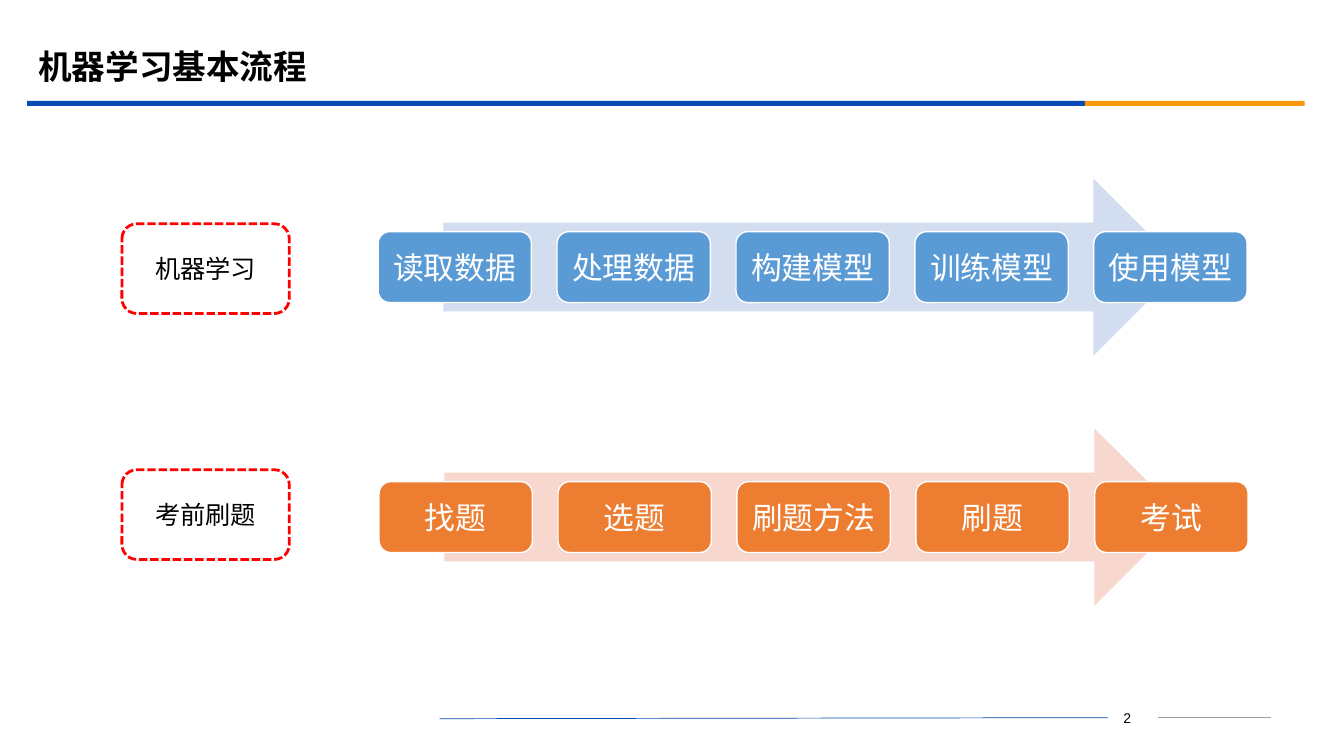
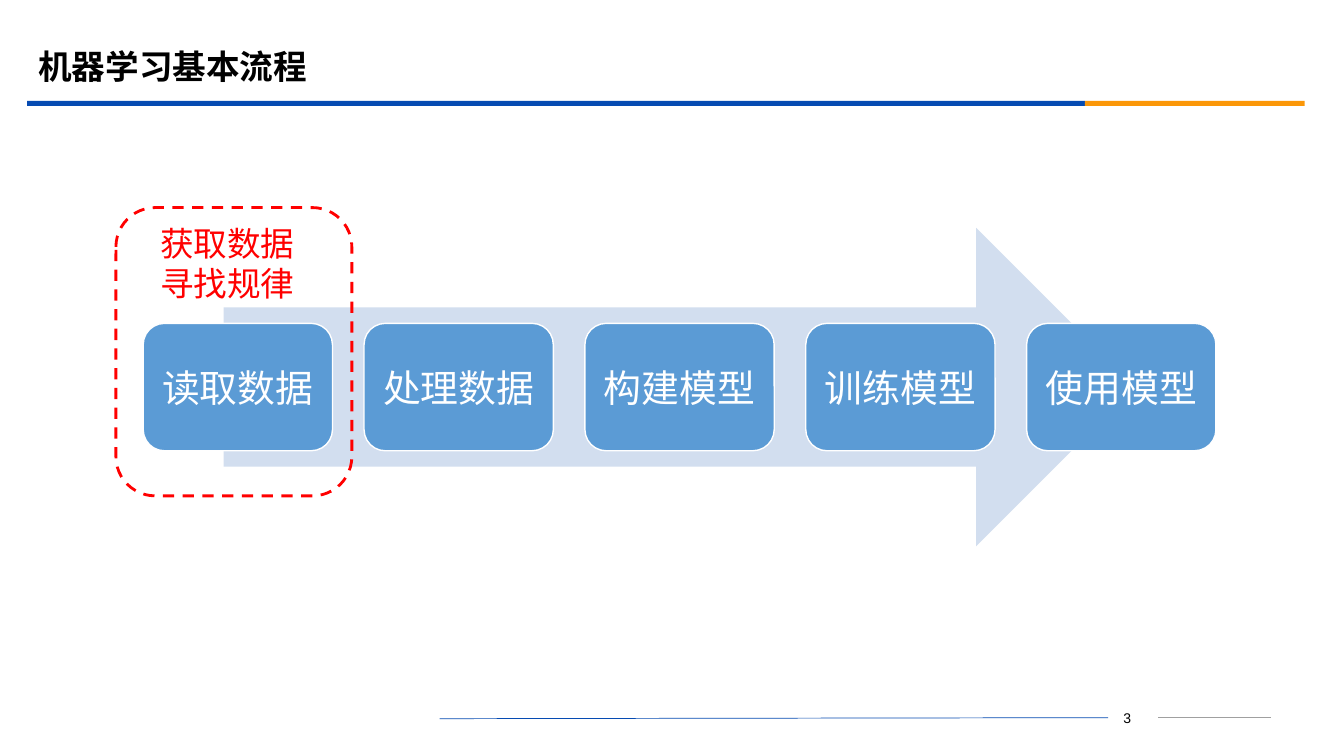
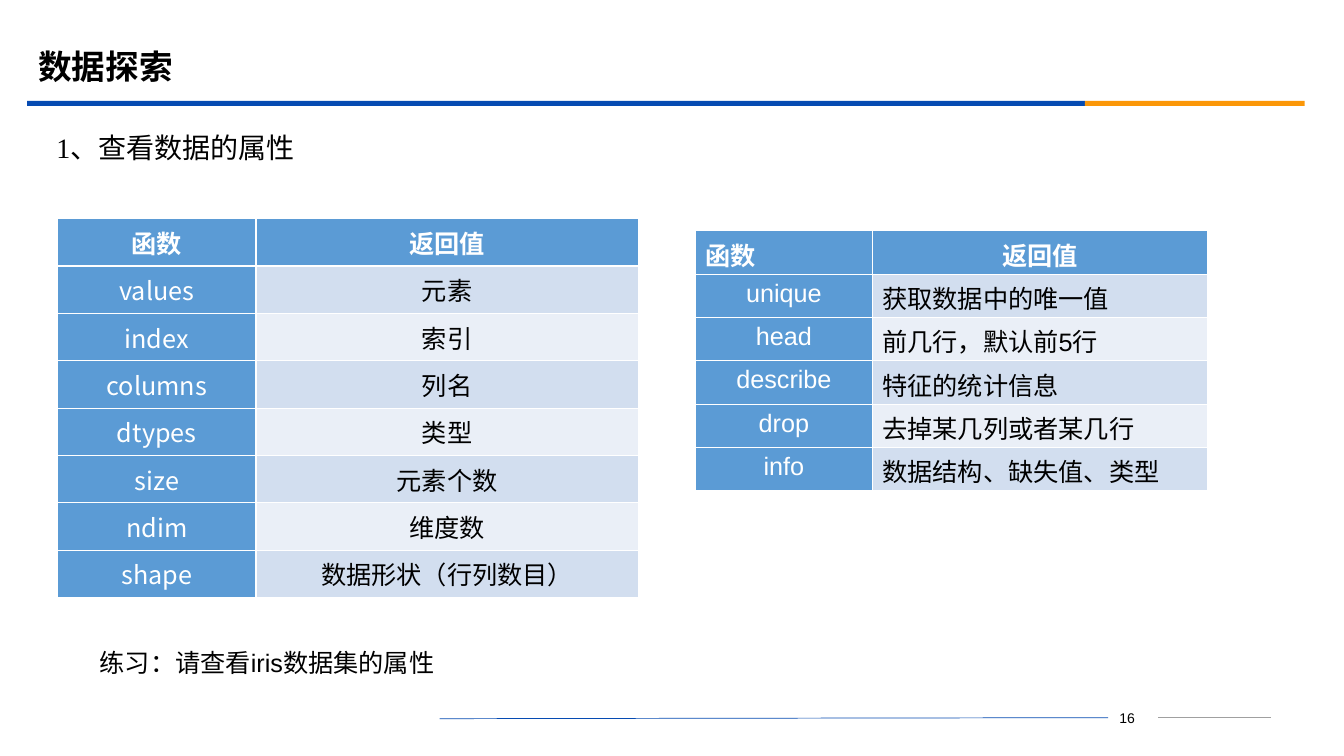
from lxml.etree import SubElement
from pptx import Presentation
from pptx.dml.color import RGBColor
from pptx.enum.dml import MSO_LINE
from pptx.enum.shapes import MSO_CONNECTOR, MSO_SHAPE
from pptx.enum.text import MSO_ANCHOR, MSO_AUTO_SIZE, PP_ALIGN
from pptx.oxml.ns import qn
from pptx.util import Inches, Pt

COLORS = {
    "text": "000000",
    "white": "FFFFFF",
    "band": "064BB2",
    "accent": "FB9708",
    "footer": "A0A0A0",
    "blue": "5B9BD5",
    "blue_pale": "D2DEEF",
    "blue_faint": "EAEFF7",
    "orange": "ED7D31",
    "orange_pale": "F8D7CE",
    "red": "FF0000",
}
TITLE_ONLY, TITLE_AND_BODY = 5, 1
LEFT, CENTER = PP_ALIGN.LEFT, PP_ALIGN.CENTER


def rgb(name):
    return RGBColor.from_string(COLORS[name])


def box(*lengths):
    return [Inches(length) for length in lengths]


class Deck:
    def __init__(self):
        self.prs = Presentation()
        self.prs.slide_width, self.prs.slide_height = box(13.33, 7.5)
        self.slide = None

    def new_slide(self, title, number, layout=TITLE_ONLY):
        self.slide = self.prs.slides.add_slide(self.prs.slide_layouts[layout])
        self.placeholder(0, title, (0.28, 0.39, 12, 0.58), 24, "Montserrat", bold=True)
        self.shape(MSO_SHAPE.RECTANGLE, (0.27, 1, 10.49, 0.05), "band")
        self.shape(MSO_SHAPE.RECTANGLE, (10.76, 1, 2.18, 0.05), "accent")
        self.line((4.36, 7.13), (10.99, 7.12), "band", 0.5)
        self.line((11.49, 7.12), (12.61, 7.12), "footer", 0.75)
        self.text(str(number), (10.87, 6.99, 0.62, 0.25), 10, align=CENTER)

    def set_text(self, frame, text, size, color="text", font="Arial", align=LEFT, bold=False):
        frame.text = text
        paragraph = frame.paragraphs[0]
        paragraph.alignment = align
        paragraph.font.name = font
        paragraph.font.size = Pt(size)
        paragraph.font.bold = bold
        paragraph.font.color.rgb = rgb(color)
        return paragraph

    def placeholder(self, index, text, area, size, font, bold=False):
        holder = self.slide.placeholders[index]
        holder.left, holder.top, holder.width, holder.height = box(*area)
        frame = holder.text_frame
        frame.auto_size = MSO_AUTO_SIZE.NONE
        frame.vertical_anchor = MSO_ANCHOR.MIDDLE
        paragraph = self.set_text(frame, text, size, font=font, bold=bold)
        paragraph.line_spacing = 0.9
        return paragraph

    def body(self, text, area):
        """Fill the body placeholder with one unbulleted line."""
        paragraph = self.placeholder(1, text, area, 20, "Times New Roman")
        paragraph.space_before = Pt(10)
        properties = paragraph._p.get_or_add_pPr()
        properties.set("marL", "0")
        properties.set("indent", "0")
        bullet = properties.makeelement(qn("a:buNone"), {})
        properties.insert_element_before(bullet, "a:tabLst", "a:defRPr", "a:extLst")

    def text(self, text, area, size, color="text", align=LEFT):
        frame = self.slide.shapes.add_textbox(*box(*area)).text_frame
        frame.word_wrap = True
        self.set_text(frame, text, size, color, align=align)

    def shape(self, kind, area, fill=None, line=None, width=1, dash=None):
        shape = self.slide.shapes.add_shape(kind, *box(*area))
        shape.shadow.inherit = False
        if fill:
            shape.fill.solid()
            shape.fill.fore_color.rgb = rgb(fill)
        else:
            shape.fill.background()
        if line:
            shape.line.color.rgb = rgb(line)
            shape.line.width = Pt(width)
            shape.line.dash_style = dash
        else:
            shape.line.fill.background()
        return shape

    def line(self, start, end, color, width):
        line = self.slide.shapes.add_connector(MSO_CONNECTOR.STRAIGHT, *box(*start, *end))
        line.line.color.rgb = rgb(color)
        line.line.width = Pt(width)
        SubElement(line._element.spPr, qn("a:effectLst"))

    def dashed_frame(self, area, dash, label=""):
        frame = self.shape(MSO_SHAPE.ROUNDED_RECTANGLE, area, line="red", width=2, dash=dash)
        if label:
            self.set_text(frame.text_frame, label, 18, align=CENTER)

    def process(self, steps, left, middle, width, arrow_height, size, color):
        """Draw equal step boxes, a sixth of a box apart, over a wide arrow."""
        self.shape(MSO_SHAPE.RIGHT_ARROW,
                   (left + 0.075 * width, middle - arrow_height / 2, 0.85 * width, arrow_height),
                   color + "_pale")
        step_width = width / (len(steps) + (len(steps) - 1) / 6)
        step_height = 0.4 * arrow_height
        for i, step in enumerate(steps):
            area = (left + i * step_width * 7 / 6, middle - step_height / 2, step_width, step_height)
            card = self.shape(MSO_SHAPE.ROUNDED_RECTANGLE, area, color, "white")
            frame = card.text_frame
            frame.margin_left = frame.margin_right = Inches(0.05)
            self.set_text(frame, step, size, "white", align=CENTER)

    def table(self, rows, left, top, columns, row_height, font, header_aligns, value_align, anchor):
        area = box(left, top, sum(columns), row_height * len(rows))
        table = self.slide.shapes.add_table(len(rows), len(columns), *area).table
        for column, width in zip(table.columns, columns):
            column.width = Inches(width)
        for r, row in enumerate(rows):
            aligns = (CENTER, value_align) if r else header_aligns
            for c, value in enumerate(row):
                cell = table.cell(r, c)
                is_value = r > 0 and c > 0
                band = "blue_pale" if r % 2 else "blue_faint"
                cell.fill.solid()
                cell.fill.fore_color.rgb = rgb(band if is_value else "blue")
                cell.vertical_anchor = anchor
                self.set_text(cell.text_frame, value, 18, "text" if is_value else "white",
                              font, aligns[c], bold=r == 0)


ML_STEPS = ["读取数据", "处理数据", "构建模型", "训练模型", "使用模型"]
EXAM_STEPS = ["找题", "选题", "刷题方法", "刷题", "考试"]
HEADER = ("函数", "返回值")
ATTRIBUTES = [
    HEADER,
    ("values", "元素"),
    ("index", "索引"),
    ("columns", "列名"),
    ("dtypes", "类型"),
    ("size", "元素个数"),
    ("ndim", "维度数"),
    ("shape", "数据形状（行列数目）"),
]
METHODS = [
    HEADER,
    ("unique", "获取数据中的唯一值"),
    ("head", "前几行，默认前5行"),
    ("describe", "特征的统计信息"),
    ("drop", "去掉某几列或者某几行"),
    ("info", "数据结构、缺失值、类型"),
]


def main():
    deck = Deck()

    deck.new_slide("机器学习基本流程", 2)
    deck.process(ML_STEPS, 3.75, 2.65, 8.62, 1.76, 22, "blue")
    deck.process(EXAM_STEPS, 3.76, 5.13, 8.62, 1.76, 22, "orange")
    for label, top in (("机器学习", 2.22), ("考前刷题", 4.66)):
        deck.dashed_frame((1.21, top, 1.66, 0.89), MSO_LINE.SQUARE_DOT, label)

    deck.new_slide("机器学习基本流程", 3)
    deck.process(ML_STEPS, 1.42, 3.84, 10.64, 3.16, 27, "blue")
    deck.dashed_frame((1.15, 2.06, 2.34, 2.86), MSO_LINE.DASH)
    deck.text("获取数据寻找规律", (1.49, 2.16, 1.66, 0.91), 24, "red")

    deck.new_slide("数据探索", 16, TITLE_AND_BODY)
    deck.body("1、查看数据的属性", (0.46, 1.25, 12.15, 0.47))
    deck.table(ATTRIBUTES, 0.57, 2.17, (1.97, 3.79), 0.47, "Noto Sans CJK SC",
               (CENTER, CENTER), CENTER, MSO_ANCHOR.MIDDLE)
    deck.table(METHODS, 6.9, 2.29, (1.75, 3.33), 0.43, "Arial",
               (LEFT, CENTER), LEFT, MSO_ANCHOR.TOP)
    deck.text("练习：请查看iris数据集的属性", (0.89, 6.37, 4.44, 0.4), 18)

    deck.prs.save("out.pptx")


if __name__ == "__main__":
    main()
